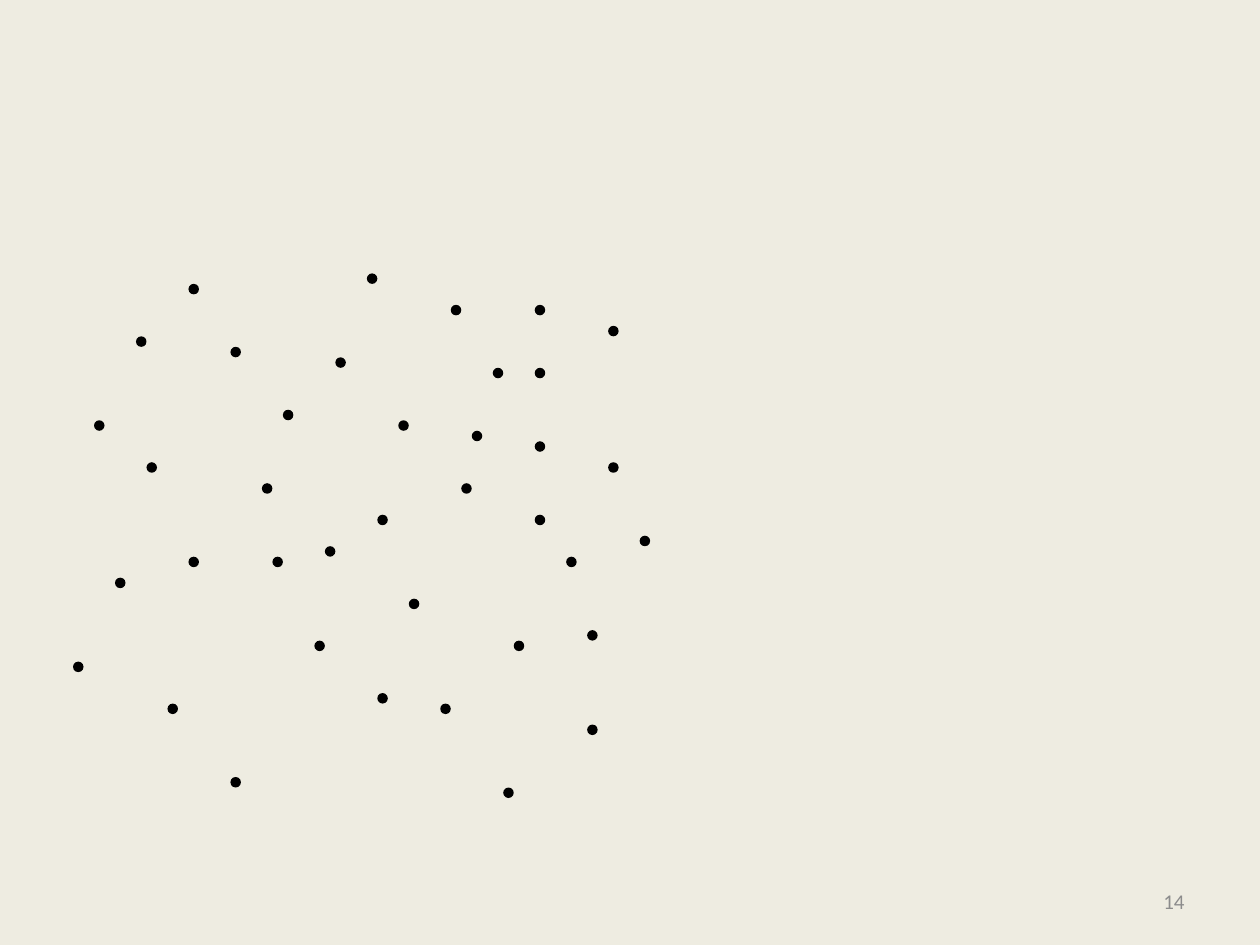
import collections

import pptx
import pptx.dml.color
import pptx.enum.shapes
import pptx.enum.text
import pptx.util

Inches = pptx.util.Inches
Box = collections.namedtuple("Box", "left top width height")
Theme = collections.namedtuple("Theme", "background dot number font number_size")

THEME = Theme(
    background=pptx.dml.color.RGBColor.from_string("EEECE1"),
    dot=pptx.dml.color.RGBColor.from_string("000000"),
    number=pptx.dml.color.RGBColor.from_string("8C8C8C"),
    font="Calibri",
    number_size=pptx.util.Pt(12),
)

GRID_COLUMNS = 55
DOT_CELLS = [
    (18, 20), (51, 18), (15, 7), (36, 3), (9, 41), (7, 18), (41, 49), (44, 9),
    (49, 34), (23, 35), (47, 27), (42, 35), (31, 14), (35, 41), (19, 27),
    (37, 20), (29, 40), (25, 8), (11, 27), (20, 13), (24, 26), (32, 31),
    (29, 23), (2, 14), (11, 1), (6, 6), (0, 37), (15, 48), (4, 29), (51, 5),
    (28, 0), (40, 9), (44, 16), (44, 3), (38, 15), (44, 23), (54, 25), (49, 43),
]


def set_values(target, values):
    """Set each named format value on the target."""
    for name, value in values.items():
        setattr(target, name, value)


def add_page_number(page, box, number):
    """Place the right-aligned page number in the box."""
    frame = page.shapes.add_textbox(*box).text_frame
    set_values(frame, {
        "word_wrap": True,
        "vertical_anchor": pptx.enum.text.MSO_ANCHOR.MIDDLE,
    })
    para = frame.paragraphs[0]
    para.alignment = pptx.enum.text.PP_ALIGN.RIGHT
    span = para.add_run()
    span.text = str(number)
    set_values(span.font, {"name": THEME.font, "size": THEME.number_size})
    span.font.color.rgb = THEME.number


def add_point_cloud(page, box, cells):
    """Place one dot, a grid cell wide, at each column and row in the box."""
    cell = box.width / GRID_COLUMNS
    for column, row in cells:
        dot = page.shapes.add_shape(
            pptx.enum.shapes.MSO_SHAPE.OVAL,
            round(box.left + column * cell),
            round(box.top + row * cell),
            round(cell),
            round(cell),
        )
        dot.shadow.inherit = False
        dot.fill.solid()
        dot.fill.fore_color.rgb = THEME.dot
        dot.line.fill.background()


def main():
    """Build the slide and save the deck."""
    deck = pptx.Presentation()
    set_values(deck, {"slide_width": Inches(10), "slide_height": Inches(7.5)})
    page = deck.slides.add_slide(deck.slide_layouts[6])
    page.background.fill.solid()
    page.background.fill.fore_color.rgb = THEME.background
    add_page_number(page, Box(Inches(7.17), Inches(6.95), Inches(2.33), Inches(0.4)), 14)
    add_point_cloud(page, Box(Inches(0.58), Inches(2.17), Inches(4.58), Inches(4.17)), DOT_CELLS)
    deck.save("out.pptx")


if __name__ == "__main__":
    main()
